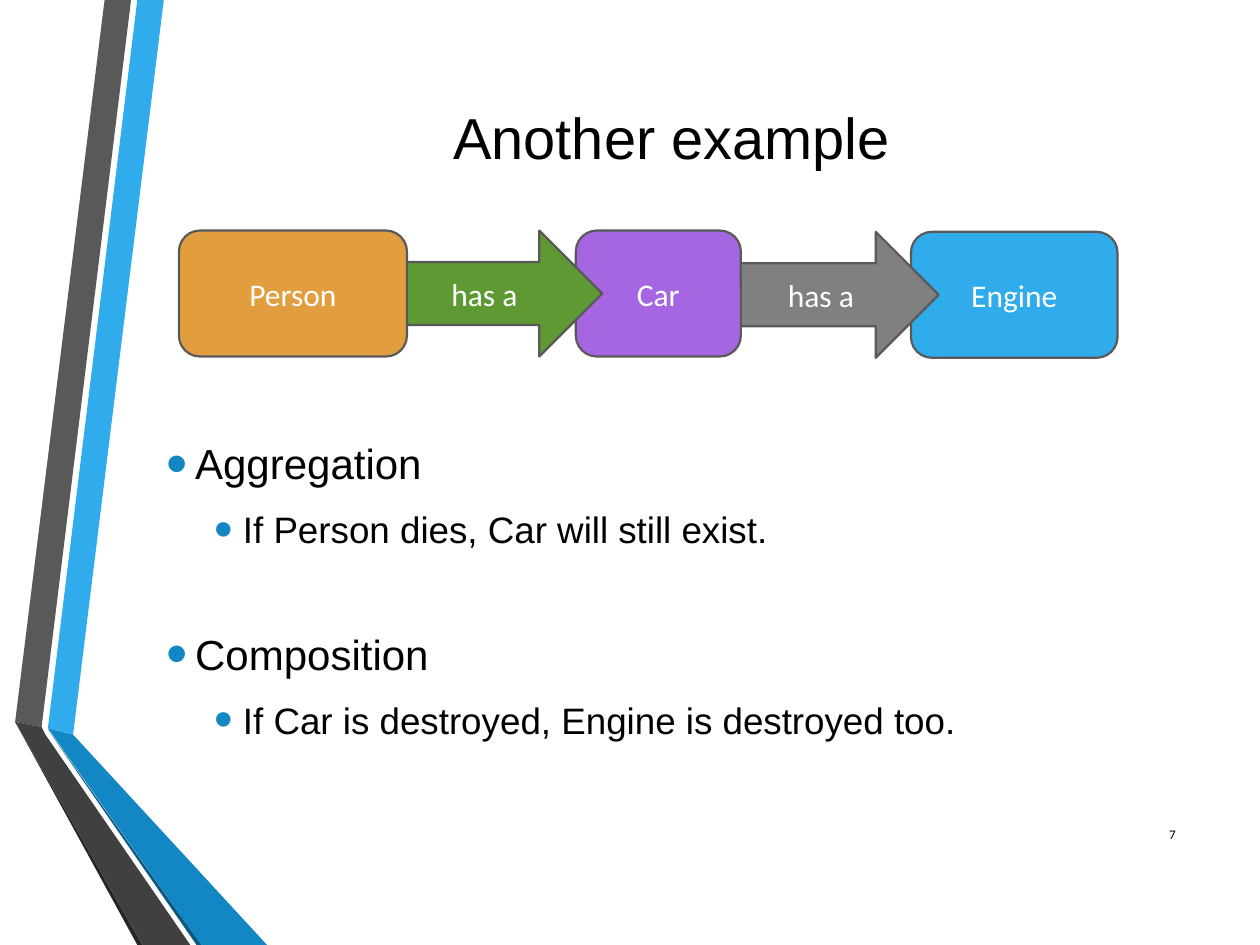
from lxml import etree
from pptx import Presentation
from pptx.dml.color import RGBColor
from pptx.enum.shapes import MSO_SHAPE
from pptx.enum.text import MSO_ANCHOR, PP_ALIGN
from pptx.oxml.ns import qn
from pptx.util import Inches, Pt

BOX, ARROW = MSO_SHAPE.ROUNDED_RECTANGLE, MSO_SHAPE.RIGHT_ARROW
LEFT, CENTER, RIGHT = PP_ALIGN.LEFT, PP_ALIGN.CENTER, PP_ALIGN.RIGHT
MIDDLE = MSO_ANCHOR.MIDDLE

COLORS = {
    "black": "000000", "white": "FFFFFF", "outline": "595959",
    "sky": "30ACEC", "blue": "1287C3", "navy": "0C5A82",
    "gray": "808080", "charcoal": "404040", "ink": "262626",
    "purple": "A666E1", "green": "5F9934", "orange": "E29D3E",
}


def color(name):
    return RGBColor.from_string(COLORS[name])


class SlideBuilder:
    heading_font = "Arial"
    label_font = "Calibri"

    def __init__(self, slide):
        self.slide = slide

    def place(self, shape, box):
        for name, value in zip(("left", "top", "width", "height"), box):
            setattr(shape, name, Inches(value))

    def add_words(self, paragraph, text, size, font, ink="black", **formats):
        run = paragraph.add_run()
        run.text = text
        run.font.color.rgb = color(ink)
        for name, value in {"size": Pt(size), "name": font}.items():
            setattr(run.font, name, value)
        for name, value in formats.items():
            setattr(paragraph, name, value)

    def frame(self, shape):
        frame = shape.text_frame
        frame.word_wrap = True
        frame.vertical_anchor = MIDDLE
        return frame

    def title(self, text, box):
        shape = self.slide.shapes.title
        self.place(shape, box)
        self.add_words(self.frame(shape).paragraphs[0], text, 33,
                       self.heading_font, alignment=CENTER)

    def text(self, text, box, size, alignment):
        shape = self.slide.shapes.add_textbox(*map(Inches, box))
        self.add_words(self.frame(shape).paragraphs[0], text, size,
                       self.label_font, alignment=alignment)

    def ribbon(self, points, fill):
        start, *rest = [(Inches(x), Inches(y)) for x, y in points]
        outline = self.slide.shapes.build_freeform(*start, scale=1.0)
        outline.add_line_segments(rest, close=True)
        shape = outline.convert_to_shape()
        shape.shadow.inherit = False
        shape.fill.solid()
        shape.fill.fore_color.rgb = color(fill)
        shape.line.fill.background()

    def labelled(self, kind, text, box, fill):
        shape = self.slide.shapes.add_shape(kind, *map(Inches, box))
        shape.shadow.inherit = False
        shape.fill.solid()
        shape.fill.fore_color.rgb = color(fill)
        shape.line.color.rgb = color("outline")
        shape.line.width = Pt(1.25)
        self.add_words(self.frame(shape).paragraphs[0], text, 18,
                       self.label_font, "white", alignment=CENTER)

    def bullets(self, items, box):
        shape = self.slide.shapes.add_textbox(*map(Inches, box))
        frame = self.frame(shape)
        for index, (level, text, before) in enumerate(items):
            paragraph = frame.add_paragraph() if index else frame.paragraphs[0]
            self.add_words(paragraph, text, 21 if level else 24,
                           self.heading_font, alignment=LEFT, level=level,
                           space_before=Pt(before), space_after=Pt(4.5))
            properties = paragraph._p.get_or_add_pPr()
            properties.set("marL", str(Inches(0.61 if level else 0.23)))
            properties.set("indent", str(Inches(-0.23)))
            bullet_color = etree.SubElement(properties, qn("a:buClr"))
            etree.SubElement(bullet_color, qn("a:srgbClr"), val=COLORS["blue"])
            etree.SubElement(properties, qn("a:buSzPct"), val="145000")
            etree.SubElement(properties, qn("a:buFont"), typeface="Arial")
            etree.SubElement(properties, qn("a:buChar"), char="•")


presentation = Presentation()
presentation.slide_width = Inches(10)
presentation.slide_height = Inches(7.5)
slide = presentation.slides.add_slide(presentation.slide_layouts[5])
builder = SlideBuilder(slide)

# Folded ribbons on the left edge
RIBBONS = [
    ("sky", [(0.38, 5.78), (0.58, 5.83), (1.3, 0), (1.09, 0)]),
    ("outline", [(1.04, 0), (0.83, 0), (0.12, 5.73), (0.33, 5.77)]),
    ("ink", [(0.12, 5.73), (1.09, 7.5), (1.13, 7.5)]),
    ("navy", [(0.38, 5.79), (1.56, 7.5), (1.6, 7.5)]),
    ("blue", [(0.38, 5.78), (1.6, 7.5), (2.12, 7.5), (0.58, 5.83)]),
    ("charcoal", [(1.51, 7.5), (0.36, 5.83), (0.33, 5.77), (0.12, 5.73),
                  (1.13, 7.5)]),
]
for fill, points in RIBBONS:
    builder.ribbon(points, fill)

# Title, explanation and slide number
builder.title("Another example", (1.22, 0.52, 8.22, 1.12))
builder.bullets([
    (0, "Aggregation", 6),
    (1, "If Person dies, Car will still exist.", 6),
    (0, "Composition", 40),
    (1, "If Car is destroyed, Engine is destroyed too.", 6),
], (1.22, 3.03, 8.22, 3.3))
builder.text("7", (8.98, 6.42, 0.45, 0.4), 7.5, RIGHT)

# Ownership chain, each part overlapping the one to its right
CHAIN = [
    (BOX, "Engine", 7.23, 1.84, 1.64, "sky"),
    (ARROW, "has a", 5.83, 1.84, 1.62, "gray"),
    (BOX, "Car", 4.57, 1.83, 1.31, "purple"),
    (ARROW, "has a", 3.16, 1.83, 1.62, "green"),
    (BOX, "Person", 1.42, 1.83, 1.81, "orange"),
]
for kind, text, left, top, width, fill in CHAIN:
    builder.labelled(kind, text, (left, top, width, 1), fill)

presentation.save("out.pptx")
